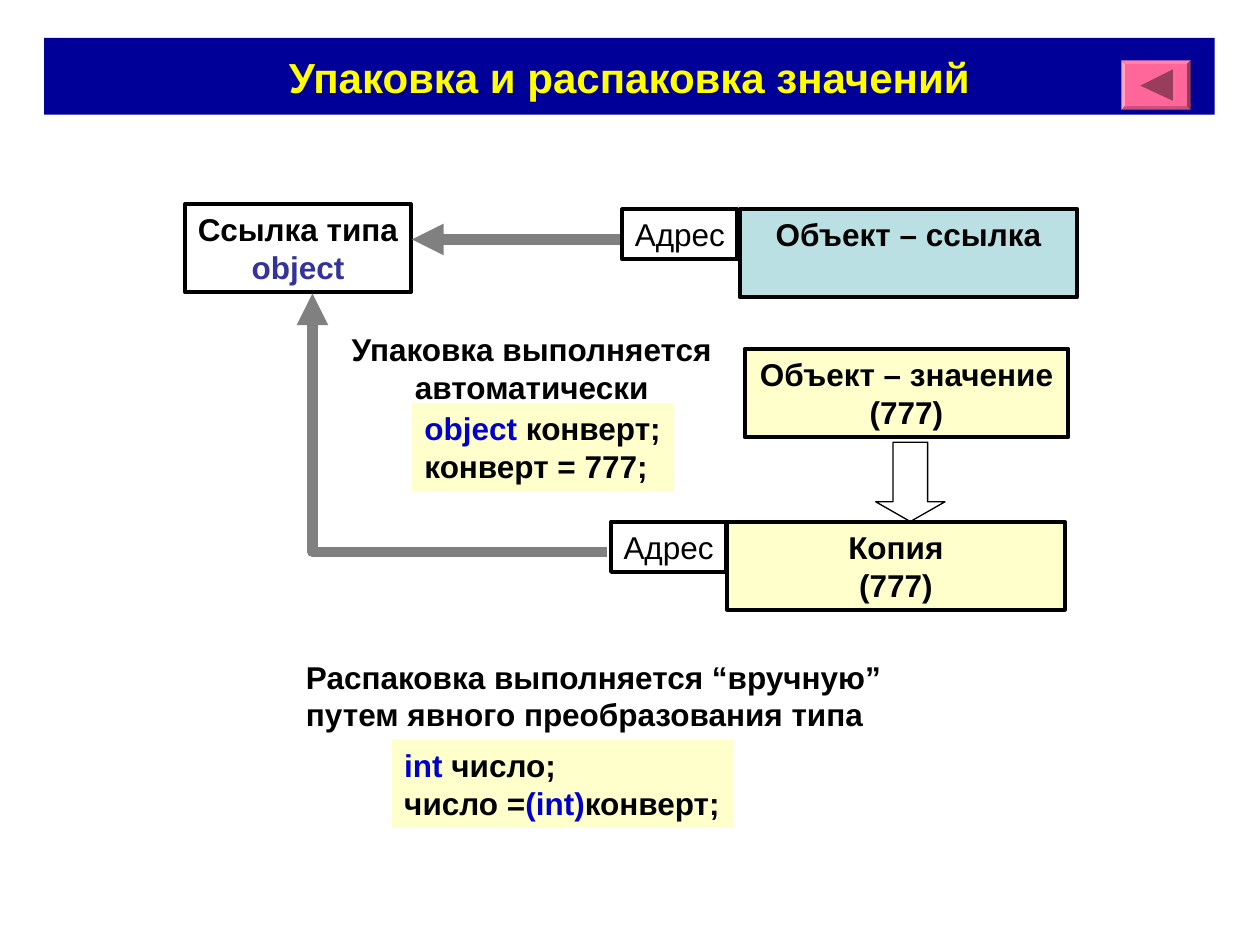
from lxml.etree import SubElement
from pptx import Presentation
from pptx.dml.color import RGBColor
from pptx.enum.shapes import MSO_CONNECTOR, MSO_SHAPE
from pptx.enum.text import MSO_ANCHOR, PP_ALIGN
from pptx.oxml.ns import qn
from pptx.util import Inches, Pt

COLORS = {
    "navy": "000099", "yellow": "FFFF00", "pink": "FF6699", "plum": "993D5C",
    "black": "000000", "white": "FFFFFF", "indigo": "333399", "keyword": "0000CC",
    "aqua": "BBE0E3", "cream": "FFFFCC", "gray": "808080",
}
LINE_HEIGHT = 0.7
ADDRESS_WIDTH, ADDRESS_HEIGHT = 0.91, 0.4


def color(name):
    """Return the named colour."""
    return RGBColor.from_string(COLORS[name])


def style(shape, fill=None, line=None, weight=2.25):
    """Set the fill and outline of a shape and drop its shadow."""
    shape.shadow.inherit = False
    if fill:
        shape.fill.solid()
        shape.fill.fore_color.rgb = color(fill)
    else:
        shape.fill.background()
    if line:
        shape.line.color.rgb = color(line)
        shape.line.width = Pt(weight)
    else:
        shape.line.fill.background()


def add_preset(page, kind, box, fill=None, line=None, weight=2.25):
    """Add a preset shape in a box given in inches."""
    shape = page.shapes.add_shape(kind, *map(Inches, box))
    style(shape, fill, line, weight)
    return shape


def add_outline(page, points, close):
    """Add a freeform through points given in inches."""
    corners = [(Inches(x), Inches(y)) for x, y in points]
    builder = page.shapes.build_freeform(*corners[0])
    builder.add_line_segments(corners[1:], close=close)
    return builder.convert_to_shape()


def add_panel(page, box, paragraphs, fill=None, line=None, align=PP_ALIGN.CENTER,
              bold=True, size=18, anchor=MSO_ANCHOR.TOP):
    """Add a rectangle whose paragraphs are lists of (text, colour) runs."""
    panel = add_preset(page, MSO_SHAPE.RECTANGLE, box, fill, line)
    frame = panel.text_frame
    frame.word_wrap = False
    frame.vertical_anchor = anchor
    for index, runs in enumerate(paragraphs):
        para = frame.add_paragraph() if index else frame.paragraphs[0]
        para.alignment = align
        for text, name in runs:
            span = para.add_run()
            span.text = text
            span.font.name = "Arial"
            span.font.size = Pt(size)
            span.font.bold = bold
            span.font.color.rgb = color(name)


def plain(*lines):
    """Return black one-run paragraphs."""
    return [[(text, "black")] for text in lines]


def style_arrow(arrow):
    """Give a line its gray stroke, round join and arrowhead."""
    arrow.line.color.rgb = color("gray")
    arrow.line.width = Pt(6)
    stroke = arrow.line._get_or_add_ln()
    SubElement(stroke, qn("a:round"))
    SubElement(stroke, qn("a:tailEnd"), type="triangle")


def add_title_bar(page, left, top, width, height):
    """Draw the title bar with its back button."""
    add_panel(page, (left, top, width, height),
              [[("Упаковка и распаковка значений", "yellow")]],
              fill="navy", size=24, anchor=MSO_ANCHOR.MIDDLE)
    x, y = left + width - 0.74, top + 0.18
    button = add_preset(page, MSO_SHAPE.BEVEL, (x, y, 0.55, 0.39), "pink")
    button.adjustments[0] = 0.07
    points = [(x + 0.15, y + 0.2), (x + 0.41, y + 0.07), (x + 0.41, y + 0.32)]
    style(add_outline(page, points, True), "plum")


def add_addressed_object(page, left, top, gap, fill, lines):
    """Draw an object with its address cell on the left."""
    add_panel(page, (left + ADDRESS_WIDTH + gap, top, 2.68, LINE_HEIGHT),
              plain(*lines), fill, "black")
    add_panel(page, (left, top, ADDRESS_WIDTH, ADDRESS_HEIGHT), plain("Адрес"),
              line="black", align=PP_ALIGN.LEFT, bold=False)


def add_arrows(page, left, top):
    """Draw the two arrows that lead to the reference."""
    ends = (left + 3.45, top + 0.28, left + 1.8, top + 0.28)
    straight = page.shapes.add_connector(MSO_CONNECTOR.STRAIGHT, *map(Inches, ends))
    SubElement(straight._element.spPr, qn("a:effectLst"))
    style_arrow(straight)
    x, y = left + 1.01, top + 2.76
    bent = add_outline(page, [(left + 3.35, y), (x, y), (x, top + 0.71)], False)
    style(bent)
    style_arrow(bent)


def add_boxing_diagram(page, left, top):
    """Draw the reference, the objects and the arrows between them."""
    add_panel(page, (left, top, 1.79, LINE_HEIGHT),
              [[("Ссылка типа", "black")], [("object", "indigo")]], line="black")
    add_addressed_object(page, left + 3.47, top + 0.04, 0.02, "aqua",
                         ["Объект – ссылка"])
    add_panel(page, (left + 4.44, top + 1.15, 2.57, LINE_HEIGHT),
              plain("Объект – значение", "(777)"), "cream", "black")
    add_addressed_object(page, left + 3.38, top + 2.52, 0.01, "cream",
                         ["Копия", "(777)"])
    down = add_preset(page, MSO_SHAPE.DOWN_ARROW, (left + 5.48, top + 1.89, 0.55, 0.63),
                      line="black", weight=0.75)
    down.adjustments[1] = 0.285
    add_arrows(page, left, top)


def add_code_note(page, caption_box, caption, caption_align, code_box, code):
    """Draw a caption and, offset from its corner, the code it explains."""
    left, top = caption_box[:2]
    x, y, width = code_box
    add_panel(page, (*caption_box, LINE_HEIGHT), plain(*caption), align=caption_align)
    add_panel(page, (left + x, top + y, width, LINE_HEIGHT), code, "cream",
              align=PP_ALIGN.LEFT)


def main():
    """Build and save the deck."""
    deck = Presentation()
    deck.slide_width, deck.slide_height = Inches(10), Inches(7.5)
    page = deck.slides.add_slide(deck.slide_layouts[6])
    page.background.fill.solid()
    page.background.fill.fore_color.rgb = color("white")
    add_title_bar(page, 0.35, 0.3, 9.29, 0.61)
    add_boxing_diagram(page, 1.47, 1.62)
    add_code_note(
        page, (2.68, 2.57, 3.08), ["Упаковка выполняется", "автоматически"],
        PP_ALIGN.CENTER, (0.59, 0.63, 2.08),
        [[("object ", "keyword"), ("конверт;", "black")], [("конверт = 777;", "black")]])
    add_code_note(
        page, (2.33, 5.17, 4.85),
        ["Распаковка выполняется “вручную” ", "путем явного преобразования типа"],
        PP_ALIGN.LEFT, (0.78, 0.7, 2.71),
        [[("int ", "keyword"), ("число;", "black")],
         [("число =", "black"), ("(int)", "keyword"), ("конверт;", "black")]])
    deck.save("out.pptx")


main()
